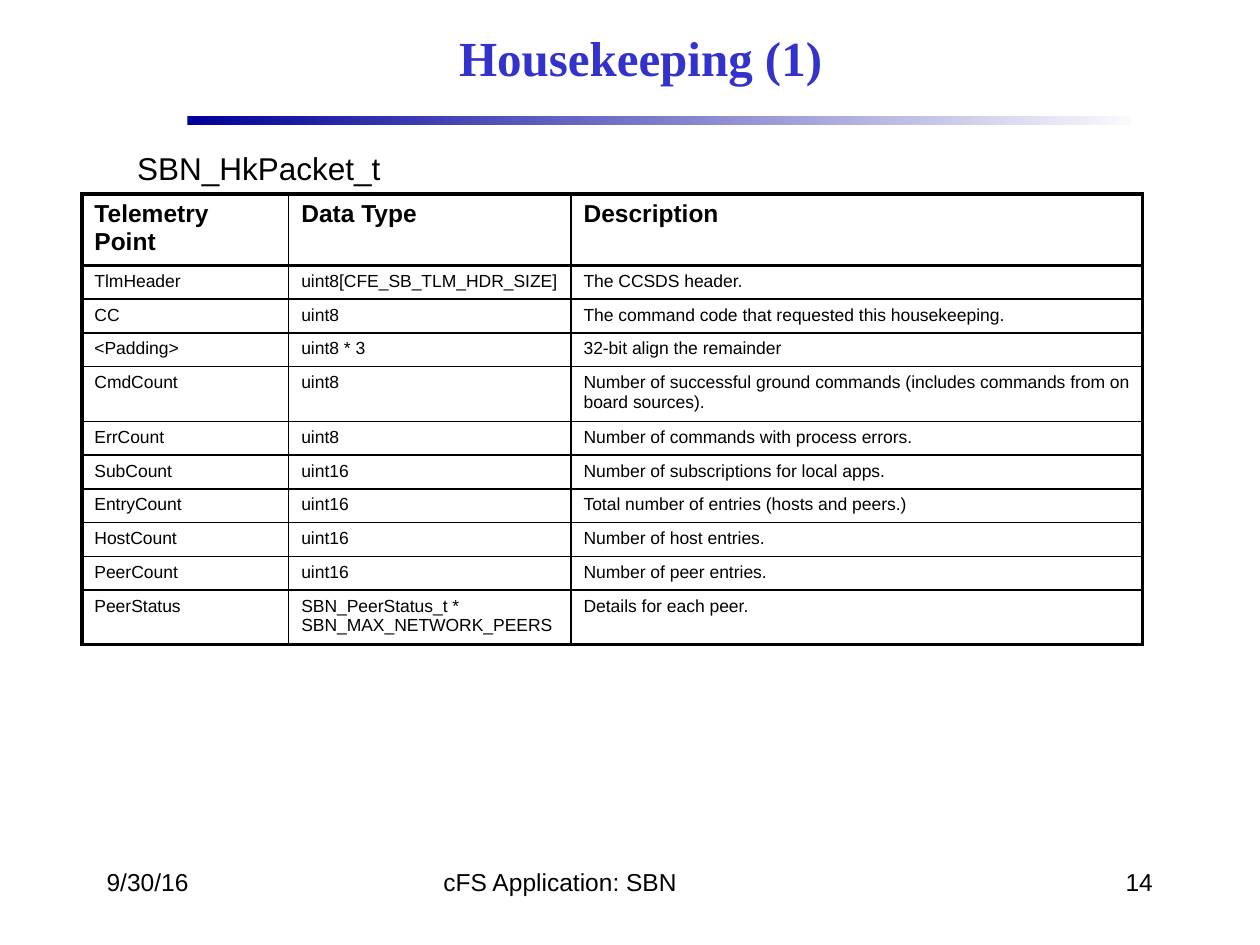
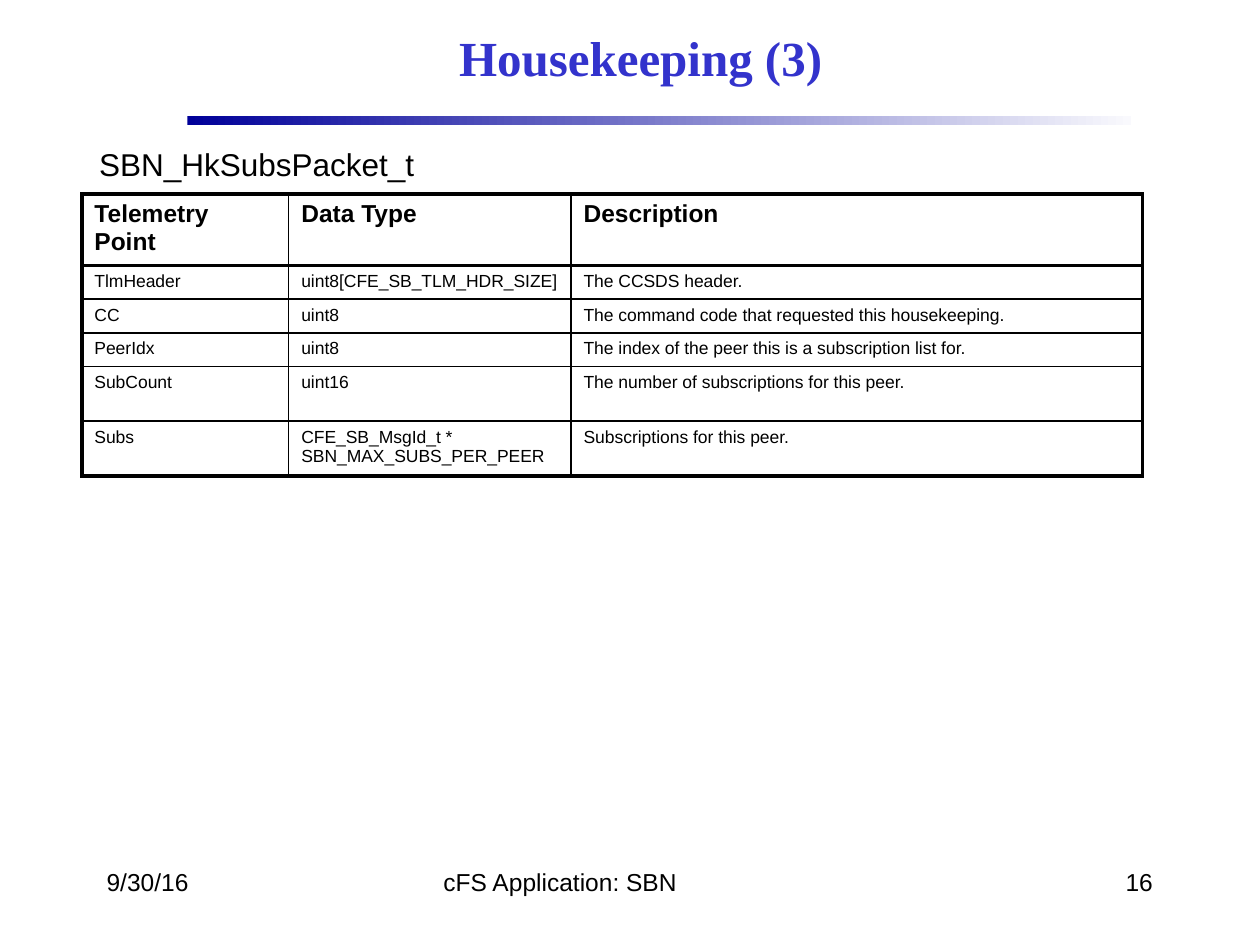
import pptx
import pptx.dml.color
import pptx.enum.shapes
import pptx.enum.text
import pptx.oxml.ns
import pptx.util
from lxml import etree

Cm, Pt = pptx.util.Cm, pptx.util.Pt
ALIGN = pptx.enum.text.PP_ALIGN
ANCHOR = pptx.enum.text.MSO_ANCHOR

BLACK, WHITE, TITLE_BLUE = "000000", "FFFFFF", "3333CC"
BAR_START, BAR_END = "000099", "F9F9FD"
BODY_FONT, TITLE_FONT = "Arial", "Times New Roman"

# Table measures: widths and heights in centimetres, borders in points
COLUMN_WIDTHS = (4.17, 5.69, 11.52)
HEADER_HEIGHT, ROW_HEIGHT, TALL_HEIGHT = 0.84, 0.68, 1.1
TALL_ROW = 4
OUTER, INNER = 2.25, 1

HEADINGS = ("Telemetry Point", "Data Type", "Description")
COMMON_POINTS = [
    ("TlmHeader", "uint8[CFE_SB_TLM_HDR_SIZE]", "The CCSDS header."),
    ("CC", "uint8", "The command code that requested this housekeeping."),
]
HK_POINTS = COMMON_POINTS + [
    ("<Padding>", "uint8 * 3", "32-bit align the remainder"),
    ("CmdCount", "uint8", "Number of successful ground commands "
                          "(includes commands from on board sources)."),
    ("ErrCount", "uint8", "Number of commands with process errors."),
    ("SubCount", "uint16", "Number of subscriptions for local apps."),
    ("EntryCount", "uint16", "Total number of entries (hosts and peers.)"),
    ("HostCount", "uint16", "Number of host entries."),
    ("PeerCount", "uint16", "Number of peer entries."),
    ("PeerStatus", "SBN_PeerStatus_t * SBN_MAX_NETWORK_PEERS",
     "Details for each peer."),
]
SUBS_POINTS = COMMON_POINTS + [
    ("PeerIdx", "uint8", "The index of the peer this is a subscription list for."),
    ("SubCount", "uint16", "The number of subscriptions for this peer."),
    ("Subs", "CFE_SB_MsgId_t * SBN_MAX_SUBS_PER_PEER",
     "Subscriptions for this peer."),
]


def color(hex_string):
    return pptx.dml.color.RGBColor.from_string(hex_string)


def write(frame, text, size=14, font=BODY_FONT, ink=BLACK, bold=False,
          align=ALIGN.LEFT, anchor=ANCHOR.TOP, wrap=True):
    """Put formatted text into a text frame."""
    frame.word_wrap = wrap
    frame.vertical_anchor = anchor
    paragraph = frame.paragraphs[0]
    paragraph.alignment = align
    run = paragraph.add_run()
    run.text = text
    run.font.size = Pt(size)
    run.font.name = font
    run.font.bold = bold
    run.font.color.rgb = color(ink)


def border(cell, side, width):
    """Draw one side (L, R, T or B) of a cell."""
    line = etree.SubElement(cell._tc.get_or_add_tcPr(),
                            pptx.oxml.ns.qn(f"a:ln{side}"), w=str(Pt(width)))
    fill = etree.SubElement(line, pptx.oxml.ns.qn("a:solidFill"))
    etree.SubElement(fill, pptx.oxml.ns.qn("a:srgbClr"), val=BLACK)


class Deck:
    def __init__(self):
        self.presentation = pptx.Presentation()
        self.presentation.slide_width = Cm(25.4)
        self.presentation.slide_height = Cm(19.05)
        self.slide = None

    def new_slide(self, title, number):
        """Start a slide with the shared bar, title and footer."""
        layout = self.presentation.slide_layouts[6]
        self.slide = self.presentation.slides.add_slide(layout)
        self.bar(3.78, 2.34, 19.02, 0.18)
        self.text(title, 3.81, 0.2, 18.21, 1.91, size=28, font=TITLE_FONT,
                  ink=TITLE_BLUE, bold=True, align=ALIGN.CENTER,
                  anchor=ANCHOR.MIDDLE)
        self.text("9/30/16", 1.9, 17.35, 5.28, 1.27)
        self.text("cFS Application: SBN", 8.69, 17.35, 8.05, 1.27)
        self.text(str(number), 18.21, 17.35, 5.28, 1.27, align=ALIGN.RIGHT)

    def text(self, text, left, top, width, height, **style):
        box = self.slide.shapes.add_textbox(Cm(left), Cm(top), Cm(width), Cm(height))
        write(box.text_frame, text, **style)

    def bar(self, left, top, width, height):
        bar = self.slide.shapes.add_shape(
            pptx.enum.shapes.MSO_SHAPE.RECTANGLE,
            Cm(left), Cm(top), Cm(width), Cm(height))
        bar.shadow.inherit = False
        bar.line.fill.background()
        bar.fill.gradient()
        bar.fill.gradient_angle = 0
        for stop, shade in zip(bar.fill.gradient_stops, (BAR_START, BAR_END)):
            stop.color.rgb = color(shade)

    def telemetry_table(self, points, left=1.65, top=3.91):
        rows = [HEADINGS] + points
        heights = [HEADER_HEIGHT] + [ROW_HEIGHT] * len(points)
        heights[TALL_ROW] = TALL_HEIGHT
        table = self.slide.shapes.add_table(
            len(rows), len(HEADINGS), Cm(left), Cm(top),
            Cm(sum(COLUMN_WIDTHS)), Cm(sum(heights))).table
        table.first_row = table.horz_banding = False
        for column, width in zip(table.columns, COLUMN_WIDTHS):
            column.width = Cm(width)
        last_row, last_column = len(rows) - 1, len(HEADINGS) - 1
        for r, (row, height) in enumerate(zip(rows, heights)):
            table.rows[r].height = Cm(height)
            for c, content in enumerate(row):
                cell = table.cell(r, c)
                write(cell.text_frame, content, size=10 if r else 14, bold=r == 0)
                # Thick frame, and a thick rule under the headings
                thick = {"L": c == 0, "R": c == last_column,
                         "T": r <= 1, "B": r in (0, last_row)}
                for side, is_thick in thick.items():
                    border(cell, side, OUTER if is_thick else INNER)
                cell.fill.solid()
                cell.fill.fore_color.rgb = color(WHITE)


def main():
    deck = Deck()

    # Housekeeping packet
    deck.new_slide("Housekeeping (1)", 14)
    deck.telemetry_table(HK_POINTS)
    deck.text("SBN_HkPacket_t", 2.49, 2.87, 5.46, 1.02, size=18,
              align=ALIGN.CENTER, wrap=False)

    # Subscriptions packet
    deck.new_slide("Housekeeping (3)", 16)
    deck.telemetry_table(SUBS_POINTS)
    deck.text("SBN_HkSubsPacket_t", 1.75, 2.79, 6.93, 1.02, size=18, wrap=False)

    deck.presentation.save("out.pptx")


if __name__ == "__main__":
    main()
